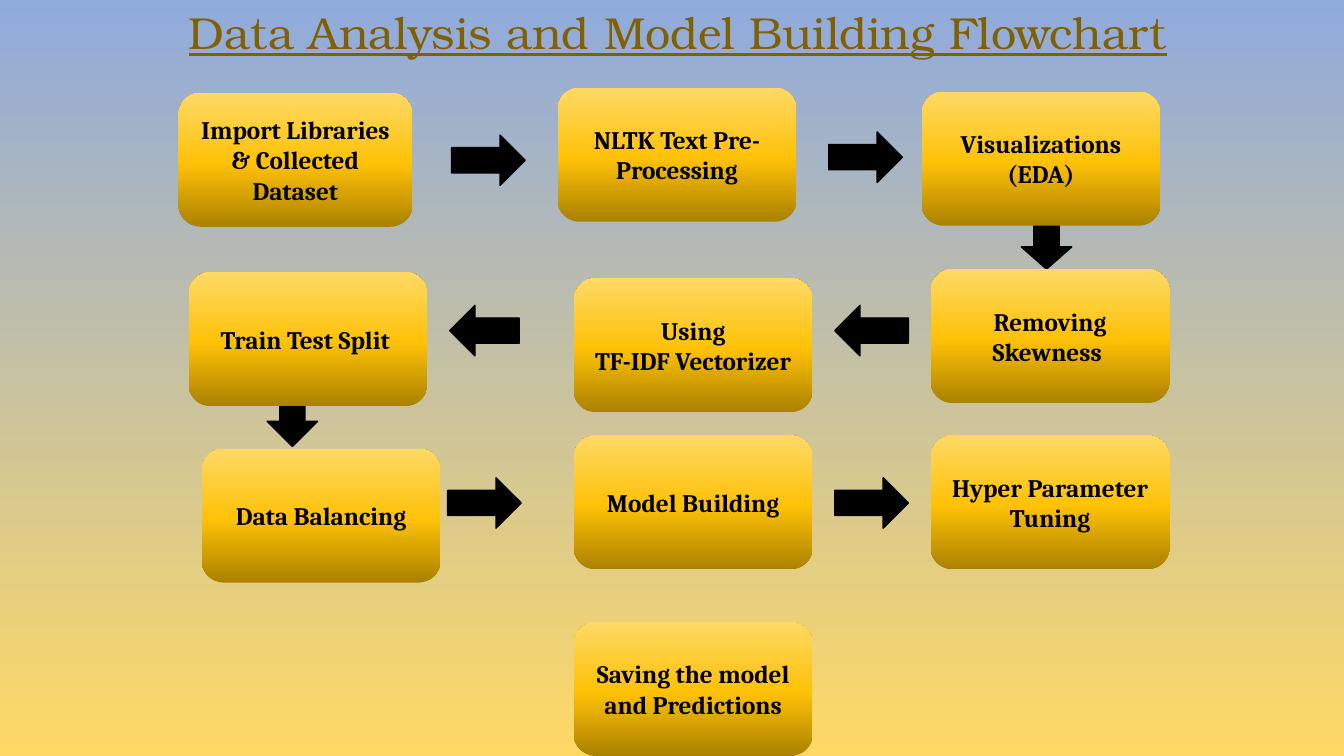
from lxml import etree
from pptx import Presentation
from pptx.dml.color import RGBColor
from pptx.enum.shapes import MSO_SHAPE
from pptx.enum.text import MSO_ANCHOR, MSO_AUTO_SIZE, PP_ALIGN
from pptx.oxml.ns import qn
from pptx.util import Emu, Pt

BOX = MSO_SHAPE.FLOWCHART_ALTERNATE_PROCESS
RIGHT = MSO_SHAPE.RIGHT_ARROW
LEFT = MSO_SHAPE.LEFT_ARROW
DOWN = MSO_SHAPE.DOWN_ARROW
CENTER = PP_ALIGN.CENTER
TOP = MSO_ANCHOR.TOP
MIDDLE = MSO_ANCHOR.MIDDLE
NO_FIT = MSO_AUTO_SIZE.NONE

PX_PER_INCH = 100
BOX_W, BOX_H = 237, 133
BLACK = "000000"
BACKGROUND = [(0, "8FAADC"), (100, "FFD966")]
GOLD = [(0, "AB8100"), (48, "FFC208"), (100, "FFD966")]

STEPS = [
    (177, 92, 232, "Import Libraries & Collected Dataset"),
    (553, 87, BOX_W, "NLTK Text Pre-Processing"),
    (914, 91, BOX_W, "Visualizations\n(EDA)"),
    (923, 267, BOX_W, "Removing Skewness "),
    (569, 276, BOX_W, "Using\nTF-IDF Vectorizer"),
    (187, 270, BOX_W, "Train Test Split "),
    (200, 445, BOX_W, "Data Balancing"),
    (569, 432, BOX_W, "Model Building"),
    (923, 432, BOX_W, "Hyper Parameter Tuning"),
    (569, 617, BOX_W, "Saving the model and Predictions"),
]
ARROWS = [
    (RIGHT, 448, 134, 73, 50),
    (RIGHT, 822, 131, 73, 50),
    (DOWN, 1013, 223, 50, 44),
    (LEFT, 828, 303, 73, 50),
    (LEFT, 446, 303, 69, 50),
    (DOWN, 265, 393, 50, 50),
    (RIGHT, 444, 474, 73, 50),
    (RIGHT, 828, 474, 73, 50),
]


def px(n):
    return Emu(n * 914400 // PX_PER_INCH)


def rgb(color):
    return RGBColor.from_string(color)


def set_gradient(fill, element, stops, angle):
    fill.gradient()
    fill.gradient_angle = angle
    gs_lst = next(element.iter(qn("a:gsLst")))
    for gs in list(gs_lst):
        gs_lst.remove(gs)
    for percent, color in stops:
        gs = etree.SubElement(gs_lst, qn("a:gs"), pos=str(percent * 1000))
        etree.SubElement(gs, qn("a:srgbClr"), val=color)


def set_text(tf, text, font, size, color, anchor, bold=False, underline=False):
    tf.text = text
    tf.word_wrap = True
    tf.auto_size = NO_FIT
    tf.vertical_anchor = anchor
    for p in tf.paragraphs:
        p.alignment = CENTER
        for r in p.runs:
            r.font.name = font
            r.font.size = Pt(size)
            r.font.bold = bold
            r.font.underline = underline
            r.font.color.rgb = rgb(color)


def add_shape(slide, kind, x, y, w, h):
    sp = slide.shapes.add_shape(kind, px(x), px(y), px(w), px(h))
    sp.shadow.inherit = False
    return sp


def add_title(slide, text):
    title = slide.shapes.title
    title.left, title.top = px(59), px(0)
    title.width, title.height = px(1227), px(94)
    set_text(title.text_frame, text, "TeX Gyre Bonum", 32, "806000", TOP,
             underline=True)


def add_arrow(slide, kind, x, y, w, h):
    sp = add_shape(slide, kind, x, y, w, h)
    sp.fill.solid()
    sp.fill.fore_color.rgb = rgb(BLACK)
    sp.line.color.rgb = rgb(BLACK)
    sp.line.width = Pt(1)


def add_step(slide, x, y, w, text):
    sp = add_shape(slide, BOX, x, y, w, BOX_H)
    set_gradient(sp.fill, sp._element, GOLD, 90)
    sp.line.fill.background()
    set_text(sp.text_frame, text, "Cambria", 18, BLACK, MIDDLE, bold=True)


def main():
    prs = Presentation()
    prs.slide_width, prs.slide_height = px(1333), px(750)
    slide = prs.slides.add_slide(prs.slide_layouts[5])
    set_gradient(slide.background.fill, slide._element, BACKGROUND, 270)
    add_title(slide, "Data Analysis and Model Building Flowchart")
    for arrow in ARROWS:
        add_arrow(slide, *arrow)
    for step in STEPS:
        add_step(slide, *step)
    prs.save("out.pptx")


if __name__ == "__main__":
    main()
